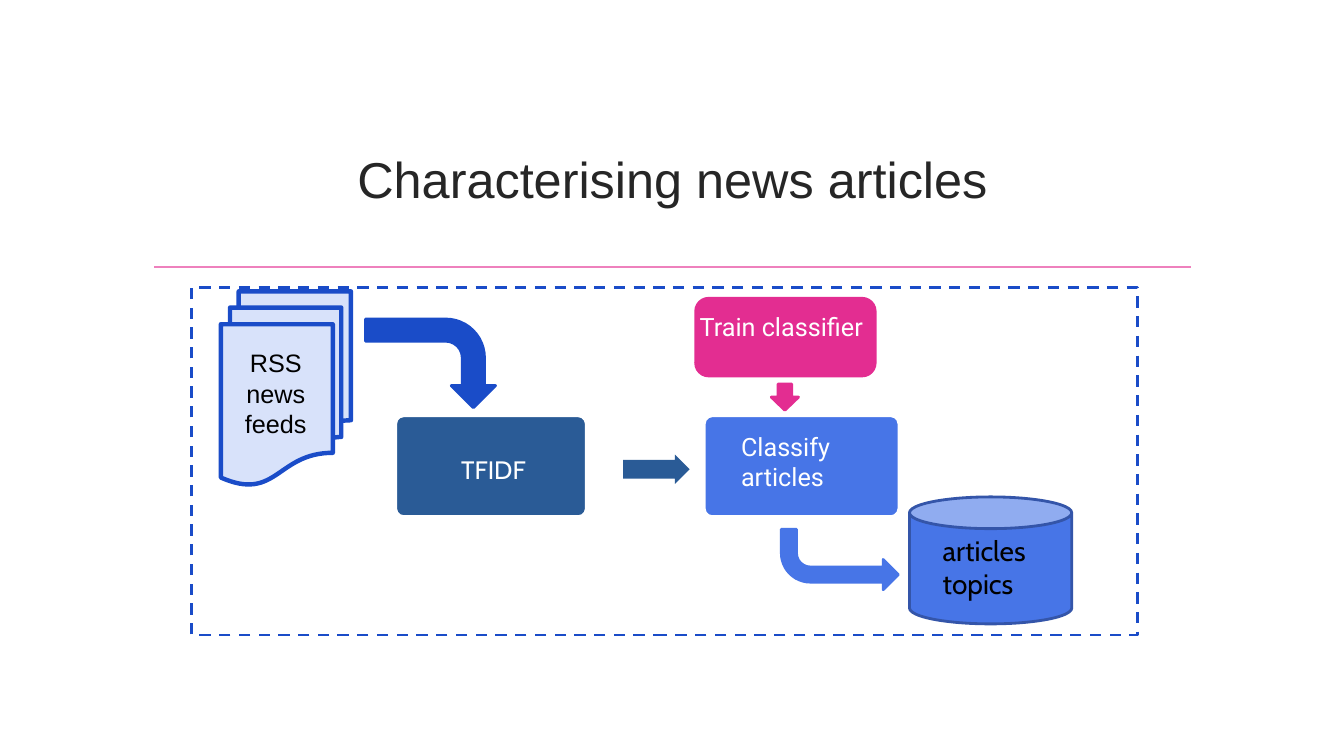
from dataclasses import dataclass

from pptx import Presentation
from pptx.dml.color import RGBColor
from pptx.enum.dml import MSO_LINE as Dash
from pptx.enum.shapes import MSO_CONNECTOR as Connector, MSO_SHAPE as Preset
from pptx.enum.text import MSO_ANCHOR as Anchor, PP_ALIGN as Align
from pptx.oxml import parse_xml
from pptx.oxml.ns import nsdecls
from pptx.slide import Slide
from pptx.text.text import TextFrame
from pptx.util import Inches, Pt

CELL = 0.1
ROYAL, SKY, STEEL, PINK, WHITE, BLACK = (
    "1A4CC8", "4775E7", "2A5B96", "E32D91", "FFFFFF", "000000")


@dataclass(frozen=True)
class Area:
    column: float
    row: float
    columns: float
    rows: float

    def format(self) -> dict[str, int]:
        return {"left": cells(self.column), "top": cells(self.row),
                "width": cells(self.columns), "height": cells(self.rows)}


@dataclass(frozen=True)
class Step:
    preset: Preset
    area: Area
    fill: str | None = None
    outline: str | None = None
    weight: float = 2
    adjustments: tuple[float, ...] = ()
    rotation: float = 0
    mirrored: bool = False
    dashed: bool = False


@dataclass(frozen=True)
class Label:
    wording: str
    area: Area
    font: str
    size: float = 18
    color: str = WHITE
    align: Align = Align.LEFT
    anchor: Anchor = Anchor.TOP


def cells(count: float) -> int:
    return Inches(count * CELL)


def rgb(code: str) -> RGBColor:
    return RGBColor.from_string(code)


def apply(target: object, values: dict[str, object]) -> None:
    for attribute, value in values.items():
        setattr(target, attribute, value)


def write(frame: TextFrame, label: Label) -> None:
    apply(frame, {"margin_left": 0, "margin_top": 0, "margin_right": 0,
                  "margin_bottom": 0, "word_wrap": True,
                  "vertical_anchor": label.anchor})
    frame.text = label.wording
    paragraph = frame.paragraphs[0]
    paragraph.alignment = label.align
    apply(paragraph.runs[0].font, {"name": label.font, "size": Pt(label.size)})
    paragraph.runs[0].font.color.rgb = rgb(label.color)


def draw_step(slide: Slide, step: Step) -> None:
    shape = slide.shapes.add_shape(step.preset, *step.area.format().values())
    shape.shadow.inherit = False
    shape.rotation = step.rotation
    for index, value in enumerate(step.adjustments):
        shape.adjustments[index] = value
    if step.mirrored:
        shape._element.spPr.xfrm.set("flipH", "1")
    if step.fill:
        shape.fill.solid()
        shape.fill.fore_color.rgb = rgb(step.fill)
    else:
        shape.fill.background()
    if step.outline:
        shape.line.color.rgb = rgb(step.outline)
        shape.line.width = Pt(step.weight)
    else:
        shape.line.fill.background()
    if step.dashed:
        shape.line.dash_style = Dash.DASH


def draw_label(slide: Slide, label: Label) -> None:
    box = slide.shapes.add_textbox(*label.area.format().values())
    write(box.text_frame, label)


def draw_rule(slide: Slide, start: float, end: float, row: float) -> None:
    rule = slide.shapes.add_connector(
        Connector.STRAIGHT, cells(start), cells(row), cells(end), cells(row))
    rule.line.color.rgb = rgb("EE81BD")
    rule.line.width = Pt(1.25)
    rule._element.spPr.append(parse_xml(f"<a:effectLst {nsdecls('a')}/>"))


HEADING = Label("Characterising news articles", Area(29.5, 10.5, 74.4, 14.3),
                "Arial", 36, "262626", Align.CENTER, Anchor.MIDDLE)

PIPELINE = (
    Step(Preset.RECTANGLE, Area(19, 28.5, 93.8, 34.5), None, ROYAL, dashed=True),
    Step(Preset.CAN, Area(90.2, 49.3, 16.1, 12.6), SKY, "3455A9"),
    Step(Preset.FLOWCHART_MULTIDOCUMENT, Area(21.9, 28.9, 12.9, 19.2),
         "D8E2FA", ROYAL, 3.15),
    Label("RSS news feeds", Area(22.3, 34.5, 10.1, 9.7), "Arial",
          color=BLACK, align=Align.CENTER),
    Step(Preset.ROUNDED_RECTANGLE, Area(39.3, 41.3, 18.8, 9.9),
         STEEL, WHITE, 1.25, (0.075,)),
    Label("TFIDF", Area(39.8, 45.1, 18.3, 2.9), "Cabin",
          align=Align.CENTER, anchor=Anchor.MIDDLE),
    Step(Preset.RIGHT_ARROW, Area(61.8, 45.1, 6.6, 2.9), STEEL,
         adjustments=(0.64, 0.5)),
    Step(Preset.ROUNDED_RECTANGLE, Area(69.9, 41.3, 19.2, 9.9),
         SKY, WHITE, 1.25, (0.075,)),
    Label("articles topics", Area(93.5, 52.9, 14.4, 7.7), "Cabin", 20, BLACK),
    Step(Preset.ROUNDED_RECTANGLE, Area(69, 29.6, 17.8, 7.7), PINK, PINK,
         adjustments=(0.167,)),
    Label("Train classifier", Area(69.4, 30.9, 17.4, 4.1), "Roboto"),
    Step(Preset.DOWN_ARROW, Area(76.5, 38.1, 2.7, 2.6), PINK, PINK),
    Step(Preset.BENT_ARROW, Area(38.3, 29.6, 8.8, 12.9), ROYAL, ROYAL,
         rotation=90),
    Step(Preset.BENT_ARROW, Area(77.5, 52.5, 11.6, 6), SKY, SKY,
         adjustments=(0.25, 0.25, 0.25, 0.48), rotation=180, mirrored=True),
    Label("Classify articles", Area(73.5, 42.8, 10.7, 7.1), "Roboto"),
)


def main() -> None:
    deck = Presentation()
    apply(deck, {"slide_width": Inches(13.33), "slide_height": Inches(7.5)})
    slide = deck.slides.add_slide(deck.slide_layouts.get_by_name("Title Only"))
    draw_rule(slide, 15.3, 118.1, 26.5)
    heading = slide.shapes.title
    apply(heading, HEADING.area.format())
    write(heading.text_frame, HEADING)
    for part in PIPELINE:
        if isinstance(part, Step):
            draw_step(slide, part)
        else:
            draw_label(slide, part)
    deck.save("out.pptx")


if __name__ == "__main__":
    main()
